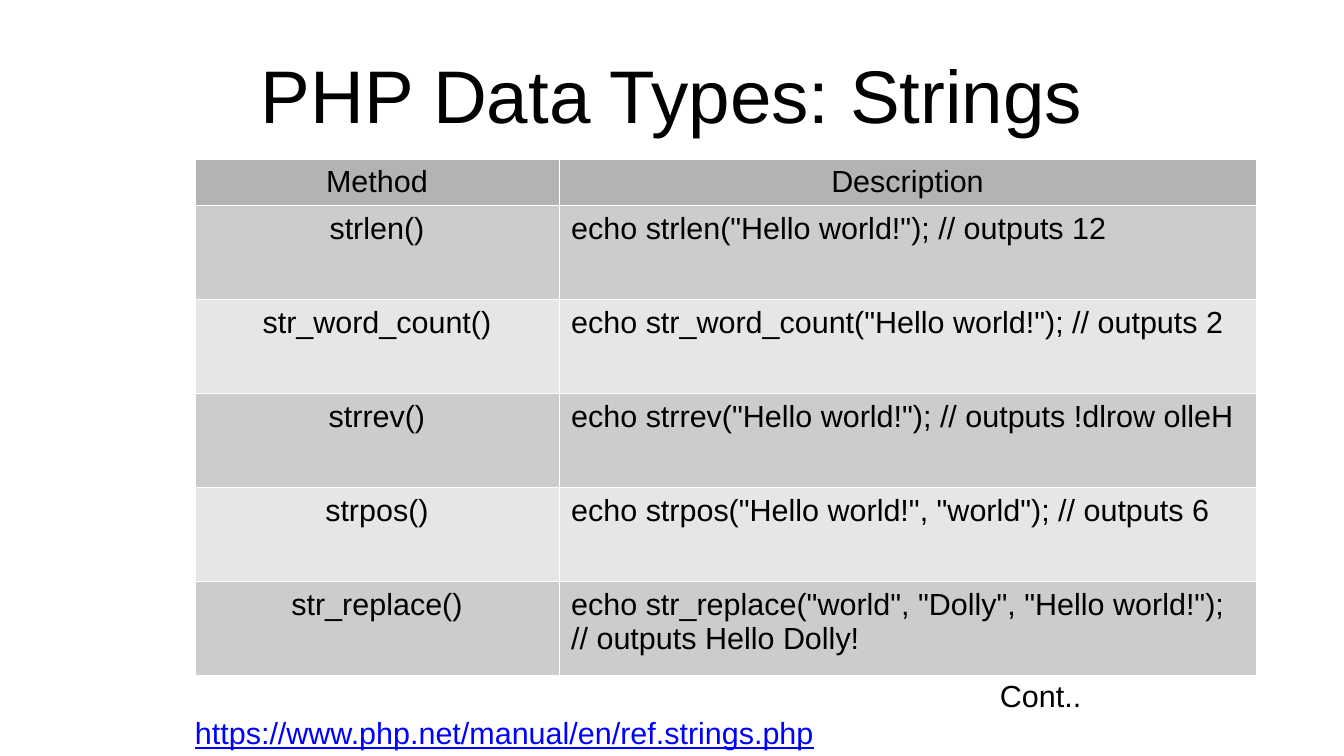
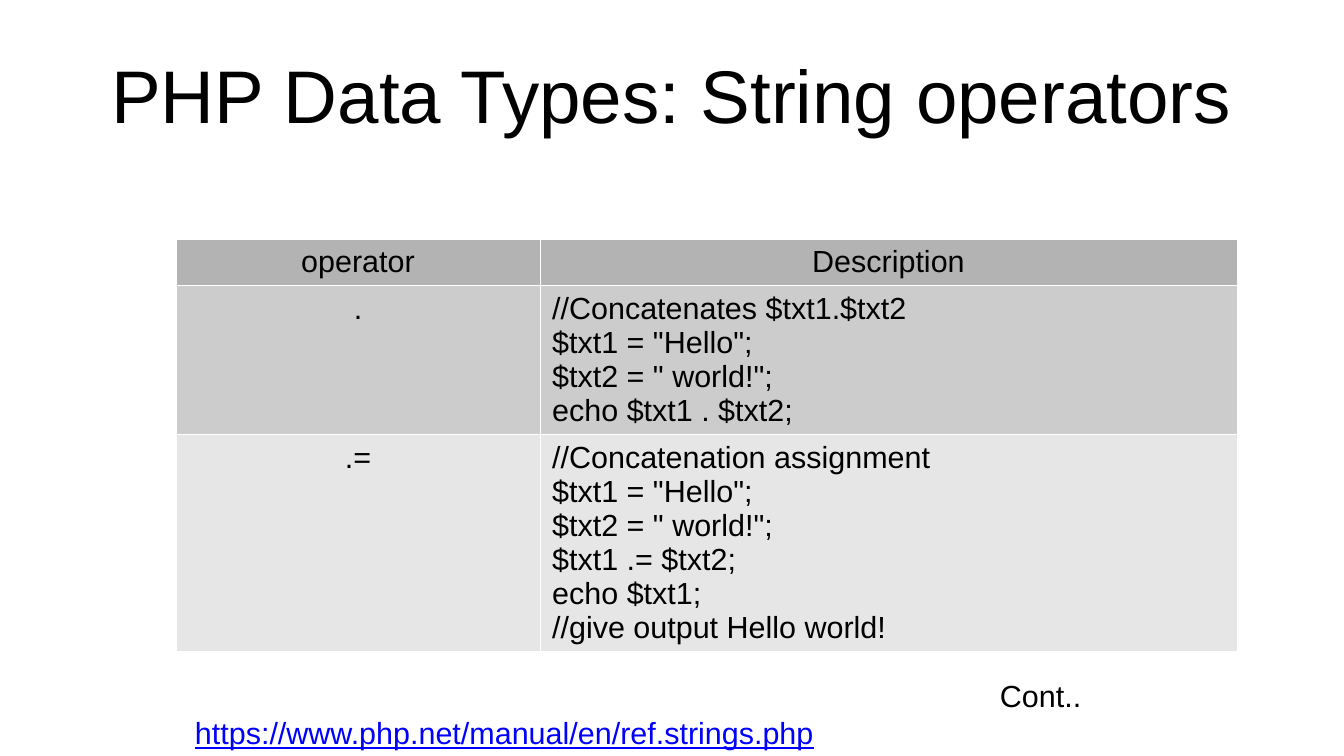
from lxml.etree import SubElement
from pptx import Presentation
from pptx.dml.color import RGBColor
from pptx.enum.text import MSO_ANCHOR, MSO_AUTO_SIZE, PP_ALIGN
from pptx.oxml.ns import qn
from pptx.util import Emu, Pt

EMU_PER_PX = 7495  # 122 px to the inch
SLIDE_W, SLIDE_H = 1344, 756
FONT = "Arial"
TITLE_ONLY = 5
COLORS = {
    "text": "000000",
    "link": "0000FF",
    "border": "FFFFFF",
    "header": "B3B3B3",
    "odd": "CCCCCC",
    "even": "E6E6E6",
}
MANUAL_URL = "https://www.php.net/manual/en/ref.strings.php"


def px(n):
    return Emu(n * EMU_PER_PX)


def rgb(name):
    return RGBColor.from_string(COLORS[name])


class Deck:
    """Holds the shared style and the slide being filled."""

    title_box = (67, 30, 1210, 127)
    cont_box = (988, 671, 293, 46)
    link_box = (183, 708, 866, 46)
    col_widths = (364, 697)
    header_h = 46

    def __init__(self):
        self.prs = Presentation()
        self.prs.slide_width, self.prs.slide_height = px(SLIDE_W), px(SLIDE_H)
        self.slide = None

    def add_slide(self, title):
        self.slide = self.prs.slides.add_slide(self.prs.slide_layouts[TITLE_ONLY])
        sp = self.slide.shapes.title
        sp.left, sp.top, sp.width, sp.height = map(px, self.title_box)
        tf = sp.text_frame
        tf.text = title
        tf.auto_size = MSO_AUTO_SIZE.NONE
        tf.vertical_anchor = MSO_ANCHOR.MIDDLE
        tf.margin_left = tf.margin_right = tf.margin_top = tf.margin_bottom = 0
        self.style(tf, size=44, align=PP_ALIGN.CENTER)

    def style(self, tf, size=18, color="text", align=PP_ALIGN.LEFT, underline=None):
        for p in tf.paragraphs:
            p.alignment = align
            p.font.name = FONT
            p.font.size = Pt(size)
            p.font.color.rgb = rgb(color)
            p.font.underline = underline

    def text(self, box, text, **style):
        tf = self.slide.shapes.add_textbox(*map(px, box)).text_frame
        tf.word_wrap = True
        tf.text = text
        self.style(tf, **style)

    def footer(self):
        self.text(self.cont_box, "Cont..")
        self.text(self.link_box, MANUAL_URL, color="link", underline=True)

    def borders(self, cell):
        tc_pr = cell._tc.get_or_add_tcPr()
        for side in ("a:lnL", "a:lnR", "a:lnT", "a:lnB"):
            ln = SubElement(tc_pr, qn(side), w="720")
            fill = SubElement(ln, qn("a:solidFill"))
            SubElement(fill, qn("a:srgbClr"), val=COLORS["border"])

    def table(self, left, top, rows, heights):
        """Draw rows of (name, description); the first row is the header."""
        heights = (self.header_h, *heights)
        frame = self.slide.shapes.add_table(
            len(rows), len(self.col_widths), px(left), px(top),
            px(sum(self.col_widths)), px(sum(heights)))
        table = frame.table
        table.first_row = table.horz_banding = False
        for col, width in zip(table.columns, self.col_widths):
            col.width = px(width)
        for i, (row, height) in enumerate(zip(rows, heights)):
            table.rows[i].height = px(height)
            band = "header" if i == 0 else ("even", "odd")[i % 2]
            for j, text in enumerate(row):
                cell = table.cell(i, j)
                self.borders(cell)
                cell.fill.solid()
                cell.fill.fore_color.rgb = rgb(band)
                cell.text = text
                centred = i == 0 or j == 0
                self.style(cell.text_frame,
                           align=PP_ALIGN.CENTER if centred else PP_ALIGN.LEFT)


METHODS = [
    ("Method", "Description"),
    ("strlen()", 'echo strlen("Hello world!"); // outputs 12'),
    ("str_word_count()", 'echo str_word_count("Hello world!"); // outputs 2'),
    ("strrev()", 'echo strrev("Hello world!"); // outputs !dlrow olleH'),
    ("strpos()", 'echo strpos("Hello world!", "world"); // outputs 6'),
    ("str_replace()",
     'echo str_replace("world", "Dolly", "Hello world!");\n// outputs Hello Dolly!'),
]

OPERATORS = [
    ("operator", "Description"),
    (".", """//Concatenates $txt1.$txt2
$txt1 = "Hello";
$txt2 = " world!";
echo $txt1 . $txt2;"""),
    (".=", """//Concatenation assignment
$txt1 = "Hello";
$txt2 = " world!";
$txt1 .= $txt2;
echo $txt1;
//give output Hello world!"""),
]


def main():
    deck = Deck()

    deck.add_slide("PHP Data Types: Strings")
    deck.table(195, 159, METHODS, heights=[94] * 5)
    deck.footer()

    deck.add_slide("PHP Data Types: String operators")
    deck.table(176, 239, OPERATORS, heights=[148, 217])
    deck.footer()

    deck.prs.save("out.pptx")


if __name__ == "__main__":
    main()
